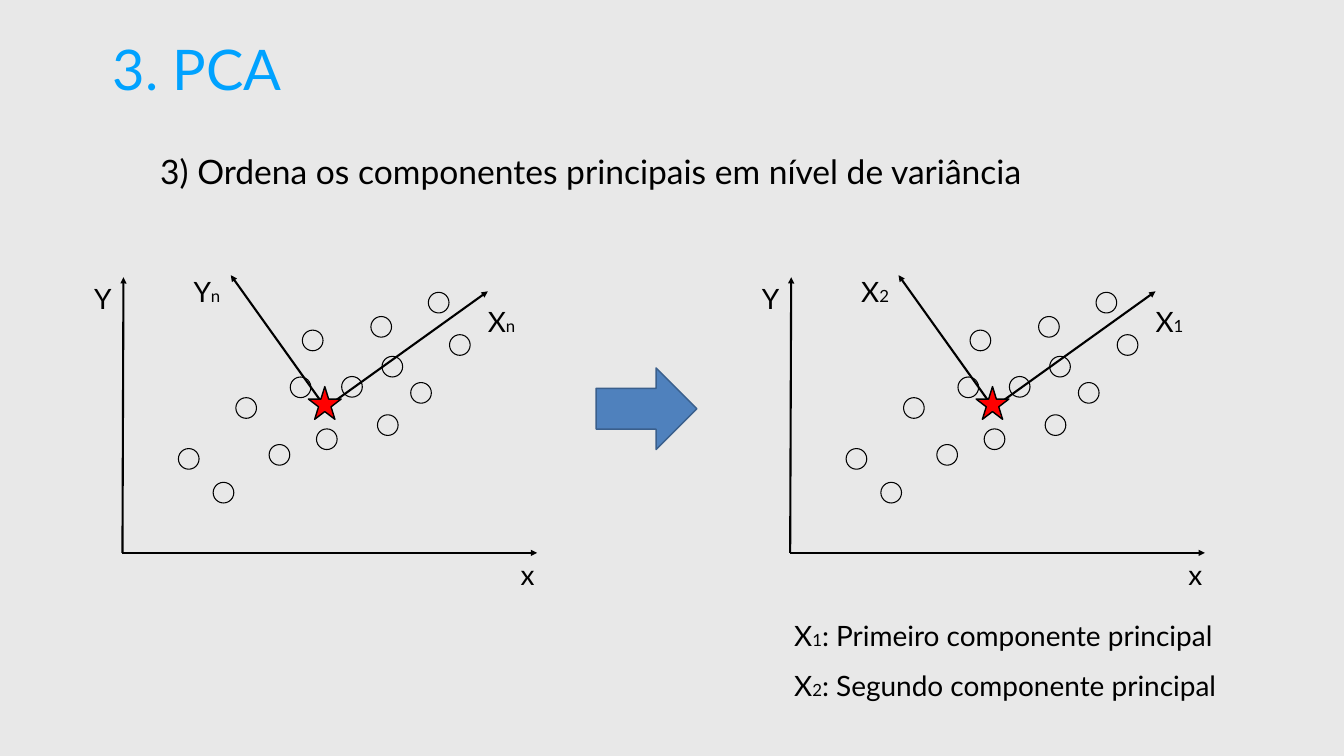
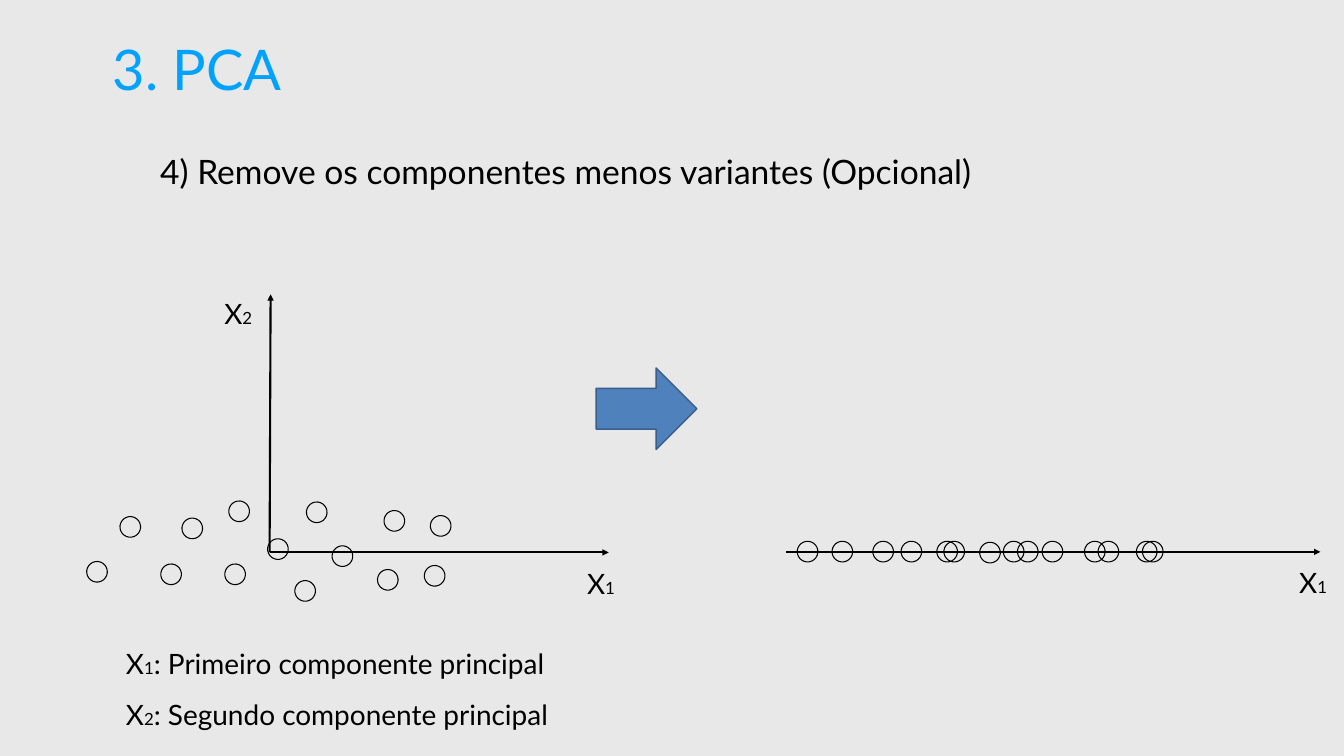
from lxml.etree import SubElement
from pptx import Presentation
from pptx.dml.color import RGBColor
from pptx.enum.shapes import MSO_CONNECTOR as Connector, MSO_SHAPE as Shape
from pptx.enum.text import MSO_ANCHOR as Anchor
from pptx.oxml.ns import qn
from pptx.util import Pt

PX = 9144
FONT = "Lato"
GRAY = RGBColor(0xE8, 0xE8, 0xE8)
BLUE = RGBColor(0x00, 0xA2, 0xFF)
BLACK = RGBColor(0, 0, 0)
RED = RGBColor(0xFF, 0, 0)
ARROW_FILL = RGBColor(0x4F, 0x81, 0xBD)
ARROW_LINE = RGBColor(0x3A, 0x5F, 0x8C)

INSET = 6
INDENT = 94
DOT = 41
STAR = 65
LABEL = (182, 63)
BODY_SIZE, SUB_SIZE = 40, 24

LEGEND = [
    [("X", BODY_SIZE), ("1", SUB_SIZE), (": Primeiro componente principal", BODY_SIZE)],
    [("X", BODY_SIZE), ("2", SUB_SIZE), (": Segundo componente principal", BODY_SIZE)],
]
CLOUD = [
    (225, -308), (333, -349), (435, -350), (111, -207), (180, -140), (506, -274), (357, -442),
    (291, -215), (572, -338), (607, -517), (385, -246), (649, -433), (515, -390), (493, -469),
]
TURNED_CLOUD = [
    (-174, -68), (-81, -102), (-4, -27), (-297, -71), (-363, 18), (50, 56), (73, -100),
    (-216, 23), (214, 34), (319, -73), (-89, 23), (307, 26), (124, -13), (227, -83),
]
PROJECTED = [
    (228, -21), (313, -21), (384, -19), (91, -21), (22, -21), (431, -21), (459, -21),
    (172, -21), (592, -21), (707, -21), (299, -21), (695, -21), (508, -21), (619, -21),
]


def px(*lengths):
    return [length * PX for length in lengths]


def add_text(page, box, lines, color=BLACK, indent=INDENT, spacing=1.5, anchor=Anchor.TOP):
    frame = page.shapes.add_textbox(*px(*box)).text_frame
    frame.word_wrap = True
    frame.vertical_anchor = anchor
    frame.margin_left = frame.margin_right = INSET * PX
    frame.margin_top = frame.margin_bottom = INSET * PX
    for index, line in enumerate(lines):
        para = frame.add_paragraph() if index else frame.paragraphs[0]
        para._p.get_or_add_pPr().set("marL", str(indent * PX))
        para.line_spacing = spacing
        for text, size in line:
            span = para.add_run()
            span.text = text
            span.font.name = FONT
            span.font.size = Pt(size)
            span.font.color.rgb = color


def add_label(page, left, top, text, sub=""):
    spans = [(text, BODY_SIZE)] + ([(sub, SUB_SIZE)] if sub else [])
    add_text(page, (left, top, *LABEL), [spans])


def add_figure(page, kind, box, fill=None, line=BLACK, width=2, turn=0):
    figure = page.shapes.add_shape(kind, *px(*box))
    figure.shadow.inherit = False
    if fill is None:
        figure.fill.background()
    else:
        figure.fill.solid()
        figure.fill.fore_color.rgb = fill
    figure.line.color.rgb = line
    figure.line.width = Pt(width)
    figure.rotation = turn


def add_axis(page, left, top, across, down):
    axis = page.shapes.add_connector(
        Connector.STRAIGHT, *px(left, top, left + across, top + down))
    axis.line.color.rgb = BLACK
    axis.line.width = Pt(3)
    SubElement(axis.line._get_or_add_ln(), qn("a:tailEnd"), type="triangle")
    SubElement(axis._element.spPr, qn("a:effectLst"))


def add_dots(page, left, top, dots, turn=0):
    for across, down in dots:
        box = (left + across, top + down, DOT, DOT)
        add_figure(page, Shape.OVAL, box, width=1.5, turn=turn)


def draw_heading(page, step):
    add_text(page, (218, 63, 1955, 144), [[("3. PCA", 80)]], BLUE, 0, 1, Anchor.MIDDLE)
    add_text(page, (218, 253, 2167, 330), [[(step, 48)]])
    add_figure(page, Shape.RIGHT_ARROW, (1183, 730, 200, 162), ARROW_FILL, ARROW_LINE)


def draw_component_plot(page, left, top, long_name, short_name):
    add_axis(page, left, top, 2, -547)
    add_axis(page, left, top, 823, 0)
    add_dots(page, left, top, CLOUD)
    add_axis(page, left + 403, top - 288, -188, -263)
    add_axis(page, left + 403, top - 288, 322, -231)
    add_figure(page, Shape.STAR_5_POINT, (left + 369, top - 330, STAR, STAR), RED)
    add_label(page, left - 156, top - 578, "Y")
    add_label(page, left + 690, top - 31, "x")
    add_label(page, left + 625, top - 533, *long_name)
    add_label(page, left + 41, top - 591, *short_name)


def draw_turned_plot(page, left, top):
    add_dots(page, left, top, TURNED_CLOUD, 35.7)
    add_axis(page, left, top, 2, -512)
    add_axis(page, left, top, 673, 0)
    add_label(page, left + 530, top - 12, "X", "1")
    add_label(page, left - 190, top - 546, "X", "2")


def draw_projection(page, left, top):
    add_dots(page, left, top, PROJECTED, 35.7)
    add_axis(page, left, top, 1060, 0)
    add_label(page, left + 918, top - 13, "X", "1")


def draw_legend(page, left, top):
    add_text(page, (left, top, 1190, 63), LEGEND)


def build_ordering_page(page):
    draw_heading(page, "3) Ordena os componentes principais em nível de variância")
    draw_component_plot(page, 243, 1097, ("X", "n"), ("Y", "n"))
    draw_component_plot(page, 1568, 1097, ("X", "1"), ("X", "2"))
    draw_legend(page, 1476, 1187)


def build_removal_page(page):
    draw_heading(page, "4) Remove os componentes menos variantes (Opcional)")
    draw_turned_plot(page, 535, 1096)
    draw_projection(page, 1560, 1095)
    draw_legend(page, 150, 1244)


def main():
    deck = Presentation()
    deck.slide_width, deck.slide_height = px(2667, 1500)
    backdrop = deck.slide_master.background.fill
    backdrop.solid()
    backdrop.fore_color.rgb = GRAY
    for build in (build_ordering_page, build_removal_page):
        build(deck.slides.add_slide(deck.slide_layouts[6]))
    deck.save("out.pptx")


if __name__ == "__main__":
    main()
